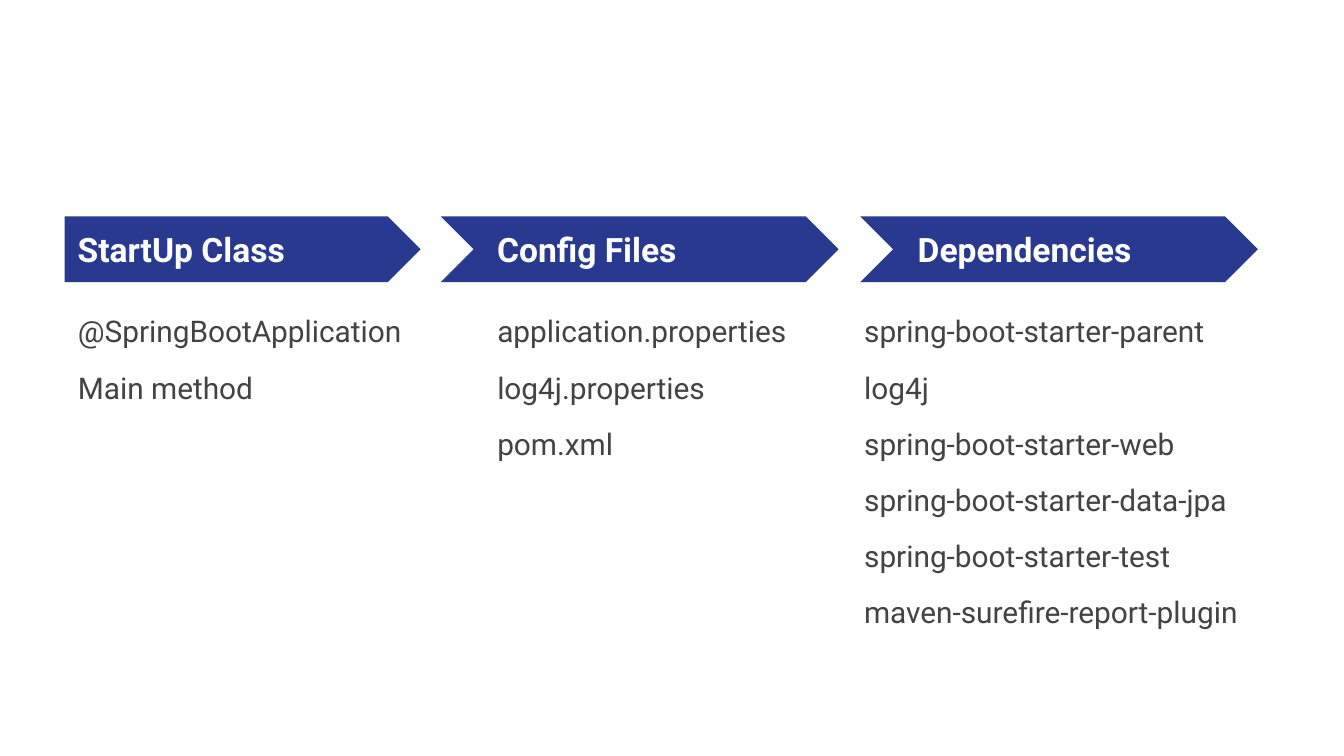
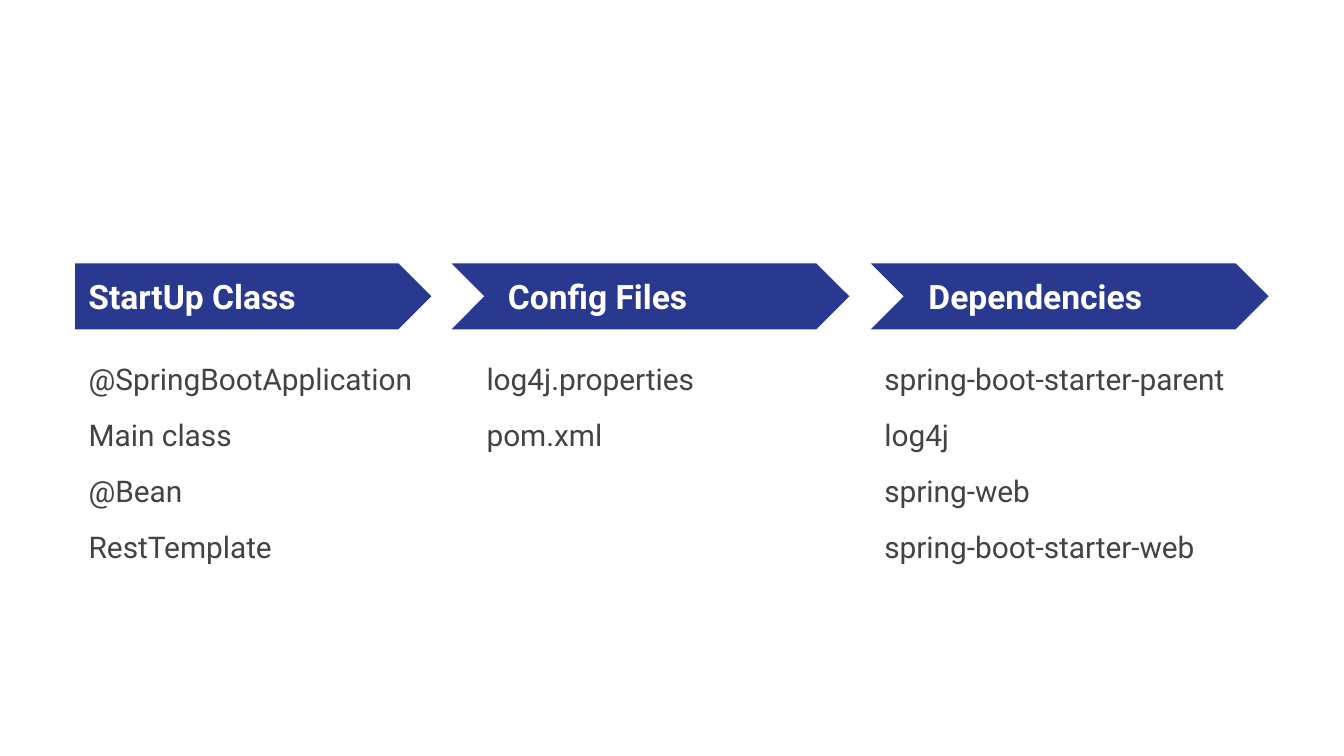
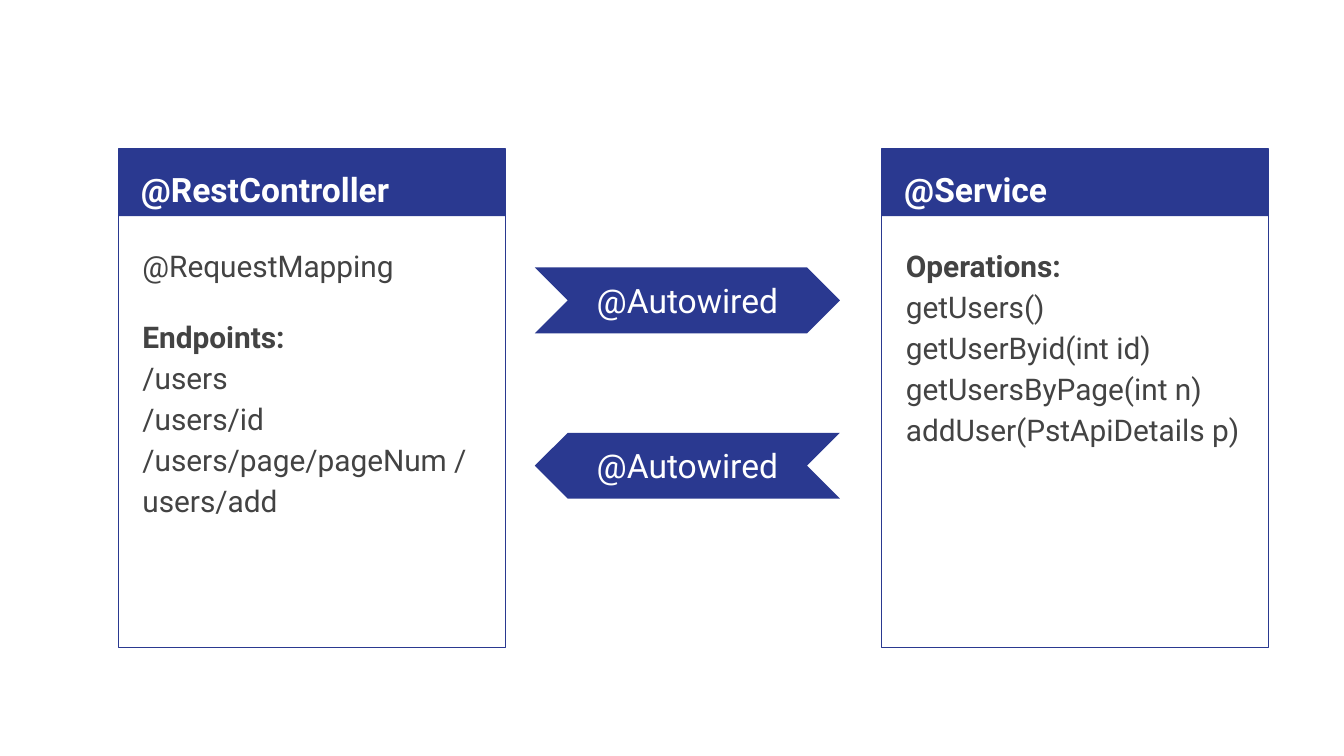
from pptx import Presentation
from pptx.dml.color import RGBColor
from pptx.enum.shapes import MSO_SHAPE as Preset
from pptx.enum.text import MSO_ANCHOR as Anchor, MSO_AUTO_SIZE as AutoSize, PP_ALIGN as Align
from pptx.oxml.ns import qn
from pptx.util import Inches, Pt

COLORS = {"navy": "2A3990", "text": "434343", "white": "FFFFFF"}
FONT = "Roboto"
BANNER_HEIGHT = 0.49
HEADING = {"size": 18, "color": "white", "bold": True, "anchor": Anchor.MIDDLE}
CARD_HEADING = {**HEADING, "anchor": Anchor.TOP, "line_spacing": 1.15}
ARROW_LABEL = {**HEADING, "bold": False, "alignment": Align.CENTER}
LIST = {"size": 16, "color": "text", "bold": False, "anchor": Anchor.TOP,
        "line_spacing": 1.15, "gap": 8, "section_gap": 8}
CARD_LIST = {**LIST, "gap": 0, "section_gap": 16}


def add_box(shapes, preset, box, filled=True):
    shape = shapes.add_shape(preset, *map(Inches, box))
    shape.shadow.inherit = False
    if filled:
        shape.fill.solid()
        shape.fill.fore_color.rgb = RGBColor.from_string(COLORS["navy"])
        shape.line.fill.background()
    else:
        shape.fill.background()
        shape.line.color.rgb = RGBColor.from_string(COLORS["navy"])
        shape.line.width = Pt(0.75)
    return shape


def write_text(shape, box, texts, style):
    for name, value in zip(("left", "top", "width", "height"), box):
        setattr(shape, name, Inches(value))
    frame = shape.text_frame
    frame_format = {"word_wrap": True, "auto_size": AutoSize.NONE, "vertical_anchor": style["anchor"]}
    for side in ("left", "top", "right", "bottom"):
        frame_format[f"margin_{side}"] = Inches(0.1)
    for name, value in frame_format.items():
        setattr(frame, name, value)
    for index, text in enumerate(texts):
        paragraph = frame.add_paragraph() if index else frame.paragraphs[0]
        is_section = text.endswith(":")
        gap = style.get("section_gap" if is_section else "gap", 0) if index else 0
        paragraph_format = {"alignment": style.get("alignment", Align.LEFT),
                            "line_spacing": style.get("line_spacing", 1.0),
                            "space_before": Pt(gap), "space_after": Pt(0)}
        for name, value in paragraph_format.items():
            setattr(paragraph, name, value)
        properties = paragraph._p.get_or_add_pPr()
        properties.set("marL", "0")
        properties.set("indent", "0")
        properties.append(properties.makeelement(qn("a:buNone"), {}))
        run = paragraph.add_run()
        run.text = text
        font_format = {"name": FONT, "size": Pt(style["size"]), "bold": style["bold"] or is_section}
        for name, value in font_format.items():
            setattr(run.font, name, value)
        run.font.color.rgb = RGBColor.from_string(COLORS[style["color"]])


presentation = Presentation()
presentation.slide_width = Inches(10)
presentation.slide_height = Inches(10) * 9 // 16
layout = presentation.slide_layouts[4]

banners = [
    ("StartUp Class", Preset.PENTAGON, 0, 2.65, 0),
    ("Config Files", Preset.CHEVRON, 2.8, 2.96, 3.12),
    ("Dependencies", Preset.CHEVRON, 5.92, 2.96, 6.25),
]
process_slides = [
    (0.48, 1.61, [
        (0.48, 2.65, ["@SpringBootApplication", "Main method"]),
        (3.6, 2.65, ["application.properties", "log4j.properties", "pom.xml"]),
        (6.33, 3.12, ["spring-boot-starter-parent", "log4j", "spring-boot-starter-web",
                      "spring-boot-starter-data-jpa", "spring-boot-starter-test",
                      "maven-surefire-report-plugin"]),
    ]),
    (0.56, 1.96, [
        (0.56, 2.65, ["@SpringBootApplication", "Main class", "@Bean", "RestTemplate"]),
        (3.52, 2.65, ["log4j.properties", "pom.xml"]),
        (6.48, 2.96, ["spring-boot-starter-parent", "log4j", "spring-web",
                      "spring-boot-starter-web"]),
    ]),
]

for left, top, lists in process_slides:
    slide = presentation.slides.add_slide(layout)
    title, *bodies = slide.placeholders
    for banner, column in zip(banners, lists):
        heading, preset, banner_offset, banner_width, heading_offset = banner
        list_left, list_width, items = column
        add_box(slide.shapes, preset, (left + banner_offset, top, banner_width, BANNER_HEIGHT))
        write_text(slide.shapes.add_textbox(0, 0, 0, 0),
                   (left + heading_offset, top + 0.07, 2.42, 0.34), [heading], HEADING)
        write_text(bodies.pop(0), (list_left, top + 0.58, list_width, 1.49), items, LIST)
    for unused in (title, *bodies):
        unused.element.getparent().remove(unused.element)

cards = [
    (0.88, "@RestController", ["@RequestMapping", "Endpoints:", "/users", "/users/id",
                               "/users/page/pageNum /", "users/add"]),
    (6.56, "@Service", ["Operations:", "getUsers()", "getUserByid(int id)",
                        "getUsersByPage(int n)", "addUser(PstApiDetails p)"]),
]
slide = presentation.slides.add_slide(layout)
title, *bodies = slide.placeholders
for left, heading, items in cards:
    card = slide.shapes.add_group_shape()
    add_box(card.shapes, Preset.RECTANGLE, (left, 1.11, 2.88, 0.5))
    add_box(card.shapes, Preset.RECTANGLE, (left, 1.11, 2.88, 3.71), filled=False)
    write_text(slide.shapes.add_textbox(0, 0, 0, 0), (left + 0.07, 1.11, 2.73, 0.5),
               [heading], CARD_HEADING)
    write_text(bodies.pop(0), (left + 0.08, 1.7, 2.72, 3.03), items, CARD_LIST)
for unused in (title, *bodies):
    unused.element.getparent().remove(unused.element)

for top, flipped in ((1.99, False), (3.22, True)):
    arrow = add_box(slide.shapes, Preset.CHEVRON, (3.98, top, 2.27, BANNER_HEIGHT))
    if flipped:
        arrow.element.spPr.find(qn("a:xfrm")).set("flipH", "1")
    write_text(slide.shapes.add_textbox(0, 0, 0, 0), (4.15, top + 0.07, 1.93, 0.34),
               ["@Autowired"], ARROW_LABEL)

presentation.save("out.pptx")
